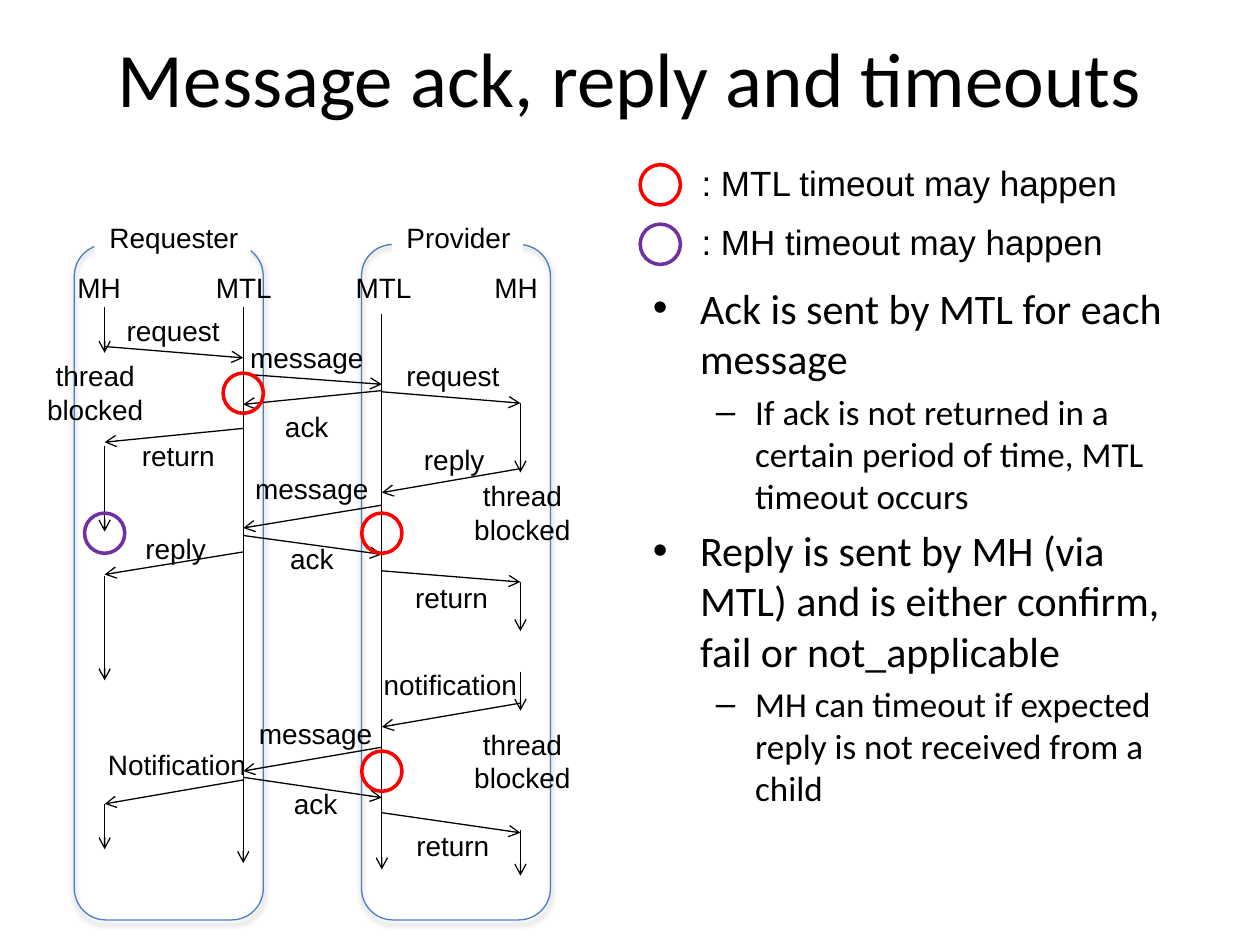
import pptx
import pptx.dml.color
import pptx.enum.shapes
import pptx.enum.text
import pptx.oxml
import pptx.oxml.ns
import pptx.util

Pt = pptx.util.Pt
SHAPES = pptx.enum.shapes.MSO_SHAPE
ALIGN = pptx.enum.text.PP_ALIGN
ANCHOR = pptx.enum.text.MSO_ANCHOR
AUTO_SIZE = pptx.enum.text.MSO_AUTO_SIZE

COLORS = {
    "text": "000000",
    "paper": "FFFFFF",
    "frame": "4B7EBC",
    "mtl": "FF0000",
    "mh": "7030A0",
}
RING = 23
LABEL_HEIGHT = 26.6
FIRST_LANE, LANE_STEP = 17.3, 79.2

# Messages: from lane, to lane, start y, end y, label, label centre x, label top
MESSAGES = [
    (0, 1, 58.3, 64.8, "request", 56.5, 36),
    (1, 0, 105.1, 113, "return", 59.4, 107.3),
    (1, 0, 175.7, 188.6, "reply", 57.9, 160.5),
    (1, 0, 306, 319.7, "Notification", 58.7, 283.7),
    (1, 2, 74.1, 79.9, "message", 132.8, 51.1),
    (2, 1, 83.5, 91.4, "ack", 132.8, 90.7),
    (2, 1, 149, 162, "message", 135.7, 126),
    (1, 2, 166.3, 177.1, "ack", 135.7, 166.3),
    (2, 1, 287.3, 300.9, "message", 137.9, 266.4),
    (1, 2, 304.5, 316.1, "ack", 137.9, 306),
    (2, 3, 84.2, 90.7, "request", 216.3, 61.9),
    (3, 2, 128.1, 141.8, "reply", 217.1, 109.4),
    (2, 3, 186.5, 192.9, "return", 215.6, 188.6),
    (3, 2, 262.1, 275.7, "notification", 214.9, 238.3),
    (2, 3, 324.7, 336.2, "return", 216.3, 330.5),
]
# Vertical arrows of each lane: start y, end y
LANE_ARROWS = [
    [(36, 61.9), (115.2, 164.1), (189.3, 249.1), (319.7, 345.6)],
    [(36, 353.5)],
    [(39.6, 357.1)],
    [(90.7, 130.3), (192.9, 221), (244.1, 266.4), (334.8, 360.7)],
]
LANE_HEADS = [("MH", -3.2), ("MTL", 0.3), ("MTL", 1), ("MH", -2.5)]
BLOCKED = [(11.9, 61.9), (256, 130.3), (256, 272.2)]
# Timeout rings: lane, centre y, kind
TIMEOUTS = [(0, 165, "mh"), (1, 85, "mtl"), (2, 165, "mtl"), (2, 301, "mtl")]
BULLETS = [
    (0, "Ack is sent by MTL for each message"),
    (1, "If ack is not returned in a certain period of time, MTL timeout occurs"),
    (0, "Reply is sent by MH (via MTL) and is either confirm, fail or not_applicable"),
    (1, "MH can timeout if expected reply is not received from a child"),
]


def rgb(name):
    return pptx.dml.color.RGBColor.from_string(COLORS[name])


def add_effects(shape, content=""):
    """Replace the theme's shadow with the given effects."""
    properties = shape._element.spPr
    properties.append(pptx.oxml.parse_xml(
        f'<a:effectLst {pptx.oxml.ns.nsdecls("a")}>{content}</a:effectLst>'))


def format_paragraph(paragraph, text, size=16, font="Arial", align=None):
    paragraph.text = text
    paragraph.alignment = align
    paragraph.font.size = Pt(size)
    paragraph.font.name = font
    paragraph.font.color.rgb = rgb("text")


def add_label(slide, text, left, top, width, height=LABEL_HEIGHT, fill=None,
              wrap=False, size=16, align=ALIGN.CENTER):
    box = slide.shapes.add_textbox(Pt(left), Pt(top), Pt(width), Pt(height))
    box.text_frame.word_wrap = wrap
    if fill:
        box.fill.solid()
        box.fill.fore_color.rgb = rgb(fill)
    for index, line in enumerate(text.split("\n")):
        paragraph = box.text_frame.add_paragraph() if index else box.text_frame.paragraphs[0]
        format_paragraph(paragraph, line, size=size, align=align)


def add_arrow(slide, x1, y1, x2, y2):
    line = slide.shapes.add_connector(
        pptx.enum.shapes.MSO_CONNECTOR.STRAIGHT, Pt(x1), Pt(y1), Pt(x2), Pt(y2))
    line.line.color.rgb = rgb("text")
    line.line.width = Pt(0.75)
    line.line._get_or_add_ln().append(pptx.oxml.parse_xml(
        f'<a:tailEnd {pptx.oxml.ns.nsdecls("a")} type="arrow"/>'))
    add_effects(line)


def add_ring(slide, left, top, color, fill=None):
    ring = slide.shapes.add_shape(SHAPES.OVAL, Pt(left), Pt(top), Pt(RING), Pt(RING))
    ring.shadow.inherit = False
    if fill:
        ring.fill.solid()
        ring.fill.fore_color.rgb = rgb(fill)
    else:
        ring.fill.background()
    ring.line.color.rgb = rgb(color)
    ring.line.width = Pt(2)


def add_frame(slide, left, top, height, title, title_offset, title_width):
    frame = slide.shapes.add_shape(
        SHAPES.ROUNDED_RECTANGLE, Pt(left), Pt(top), Pt(108), Pt(height))
    frame.fill.background()
    frame.line.color.rgb = rgb("frame")
    frame.line.width = Pt(0.75)
    add_effects(frame, (
        f'<a:outerShdw blurRad="{Pt(3.1)}" dist="{Pt(1.8)}" dir="5400000" rotWithShape="0">'
        '<a:srgbClr val="000000"><a:alpha val="35000"/></a:srgbClr></a:outerShdw>'))
    add_label(slide, title, left + title_offset, top - 17.3, title_width,
              fill="paper", align=ALIGN.RIGHT)


def add_sequence_diagram(slide, left, top, width, height):
    lanes = [left + FIRST_LANE + LANE_STEP * index for index in range(4)]
    add_frame(slide, left, top, height, "Requester", 11.5, 89.3)
    add_frame(slide, left + width - 108, top, height, "Provider", 17.3, 74.9)

    for lane, (head, shift), arrows in zip(lanes, LANE_HEADS, LANE_ARROWS):
        add_label(slide, head, lane + shift - 24, top + 11.5, 48)
        for start, end in arrows:
            add_arrow(slide, lane, top + start, lane, top + end)

    for source, target, start, end, text, center, label_top in MESSAGES:
        add_arrow(slide, lanes[source], top + start, lanes[target], top + end)
        label_width = 102 if len(text) > 8 else 80
        add_label(slide, text, left + center - label_width / 2, top + label_top,
                  label_width, wrap=text == "notification")

    for center, label_top in BLOCKED:
        add_label(slide, "thread\nblocked", left + center - 35, top + label_top, 70, 46)
    for lane, center, kind in TIMEOUTS:
        add_ring(slide, lanes[lane] - RING / 2, top + center - RING / 2, kind)


def add_legend(slide, left, top, width):
    for index, kind in enumerate(("mtl", "mh")):
        row = top + 34 * index
        add_ring(slide, left, row + 5.5, kind, fill="paper")
        add_label(slide, f": {kind.upper()} timeout may happen", left + 28, row,
                  width - 28, 31.5, size=20, align=ALIGN.LEFT)


def place(shape, left, top, width, height):
    shape.left, shape.top = Pt(left), Pt(top)
    shape.width, shape.height = Pt(width), Pt(height)
    shape.text_frame.auto_size = AUTO_SIZE.NONE


def fill_title(title, *box):
    place(title, *box)
    title.text_frame.vertical_anchor = ANCHOR.MIDDLE
    format_paragraph(title.text_frame.paragraphs[0], "Message ack, reply and timeouts",
                     size=44, font="Calibri", align=ALIGN.CENTER)


def fill_bullets(body, *box):
    place(body, *box)
    for index, (level, text) in enumerate(BULLETS):
        paragraph = body.text_frame.add_paragraph() if index else body.text_frame.paragraphs[0]
        paragraph.level = level
        format_paragraph(paragraph, text, size=20 if level else 24, font="Calibri")
    body.text_frame.paragraphs[0].space_before = Pt(0)


def main():
    presentation = pptx.Presentation()
    presentation.slide_width, presentation.slide_height = Pt(720), Pt(540)
    slide = presentation.slides.add_slide(presentation.slide_layouts[1])
    fill_title(slide.shapes.title, 36, 21.6, 648, 44)
    fill_bullets(slide.placeholders[1], 365.8, 157.7, 318.2, 356.4)
    add_sequence_diagram(slide, 42.5, 139.7, 272.1, 386)
    add_legend(slide, 365.8, 88.6, 281)
    presentation.save("out.pptx")


if __name__ == "__main__":
    main()
